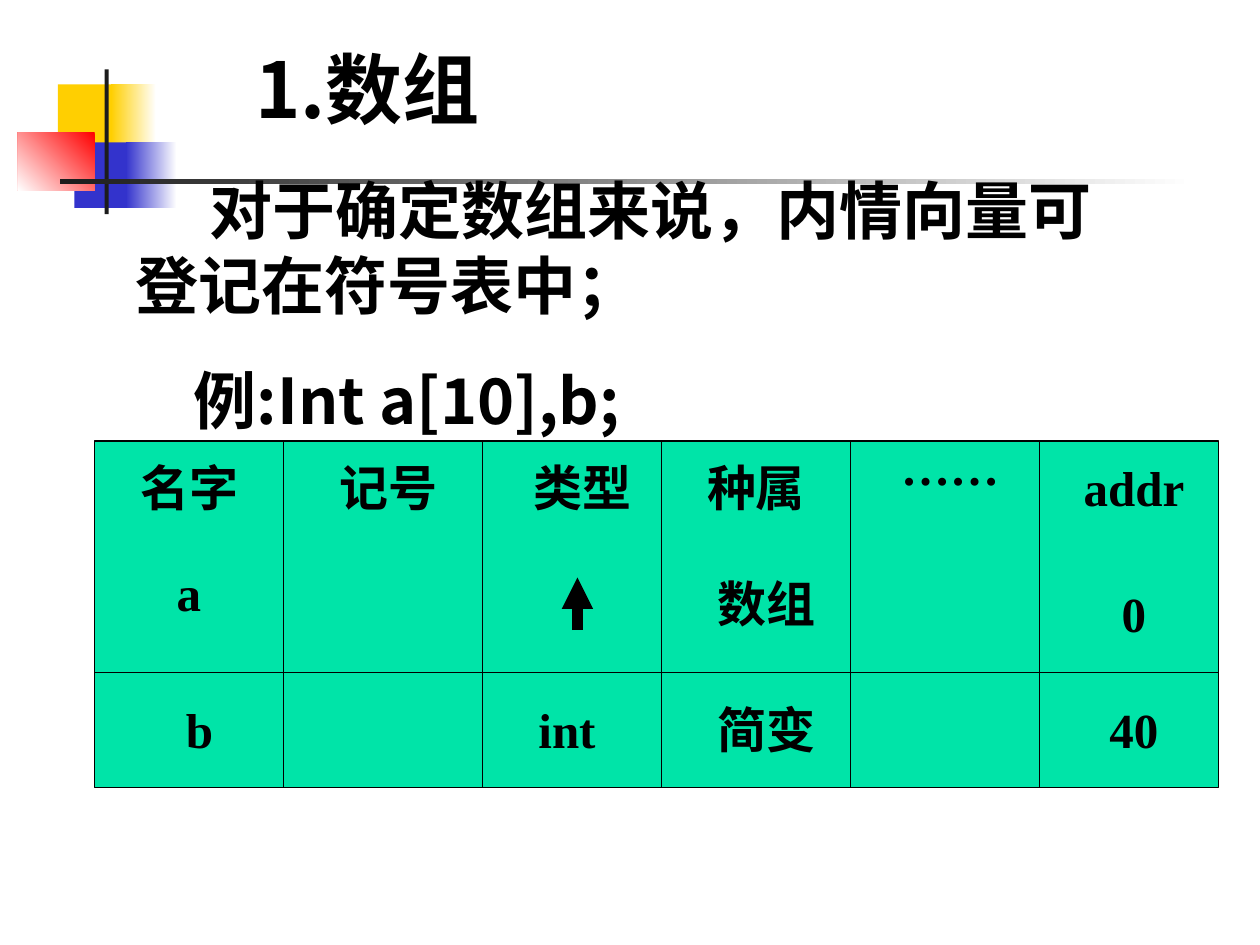
from typing import NamedTuple, Optional

from lxml.etree import SubElement
from pptx import Presentation
from pptx.dml.color import RGBColor
from pptx.enum.shapes import MSO_CONNECTOR as Connector, MSO_SHAPE as Shape
from pptx.enum.text import MSO_AUTO_SIZE as AutoSize, PP_ALIGN as Align
from pptx.oxml.ns import qn
from pptx.util import Cm, Pt

BLACK = RGBColor(0x00, 0x00, 0x00)
WHITE = RGBColor(0xFF, 0xFF, 0xFF)
YELLOW = RGBColor(0xFF, 0xCF, 0x01)
BLUE = RGBColor(0x33, 0x33, 0xCC)
RED = RGBColor(0xFF, 0x00, 0x00)
CHARCOAL = RGBColor(0x1C, 0x1C, 0x1C)
GREEN = RGBColor(0x00, 0xE4, 0xA8)
SANS = "Noto Sans CJK SC"
SERIF = "Times New Roman"


class Block(NamedTuple):
    left: float
    top: float
    width: float
    height: float
    color: RGBColor
    fade_to: Optional[RGBColor] = None
    angle: float = 180


class Label(NamedTuple):
    text: str
    left: float
    top: float
    width: float = 2.96
    height: float = 1.45
    size: float = 28
    font: str = SERIF
    align: Align = Align.CENTER
    indents: tuple[float, ...] = (0,)
    space_before: float = 0


ORNAMENT = [
    Block(1.17, 1.7, 1.22, 1.32, YELLOW),
    Block(2.24, 1.7, 0.91, 1.32, WHITE, YELLOW),
    Block(1.5, 2.87, 1.17, 1.32, BLUE),
    Block(2.54, 2.87, 1.02, 1.32, WHITE, BLUE),
    Block(0.36, 2.67, 1.55, 1.17, RED, WHITE, 225),
    Block(2.11, 1.4, 0.08, 2.92, CHARCOAL),
    Block(1.22, 3.61, 22.86, 0.1, WHITE, CHARCOAL),
]

TITLE = Label("1.数组", 4.9, 0.71, 7.39, 2.13, 44, SANS, Align.LEFT)
BODY = Label("对于确定数组来说，内情向量可登记在符号表中；\n例:Int a[10],b;",
             2.49, 3.33, 20.32, 5.64, 36, SANS, Align.LEFT, (1.48, 1.17), 22.5)

LEFT, RIGHT, TOP, BOTTOM = 1.91, 24.56, 8.89, 15.88
ROW_DIVIDER = 13.55
COLUMN_DIVIDERS = [5.72, 9.73, 13.34, 17.15, 20.96]
HEADER_TOP, B_TOP = 9.1, 13.97
ENTRIES = [
    Label("名字", 2.12, HEADER_TOP, 3.39),
    Label("记号", 5.93, HEADER_TOP, 3.81),
    Label("类型", 9.74, HEADER_TOP, 4.02),
    Label("种属", 13.76, HEADER_TOP),
    Label("……", 17.78, 8.68, 2.75),
    Label("addr", 21.38, HEADER_TOP),
    Label("a", 2.33, 11.22),
    Label("数组", 13.97, 11.43),
    Label("0", 21.38, 11.64),
    Label("b", 2.54, B_TOP),
    Label("int", 9.95, B_TOP),
    Label("简变", 13.97, B_TOP),
    Label("40", 21.38, B_TOP),
]


def add_block(slide, block: Block):
    """Draw a plain or fading rectangle without an outline."""
    rect = slide.shapes.add_shape(Shape.RECTANGLE, Cm(block.left), Cm(block.top),
                                  Cm(block.width), Cm(block.height))
    rect.shadow.inherit = False
    rect.line.fill.background()
    if block.fade_to is None:
        rect.fill.solid()
        rect.fill.fore_color.rgb = block.color
    else:
        rect.fill.gradient()
        rect.fill.gradient_angle = block.angle
        for stop, color in zip(rect.fill.gradient_stops, (block.color, block.fade_to)):
            stop.color.rgb = color
    return rect


def add_label(slide, label: Label) -> None:
    """Write a bold text box, one paragraph per line of text."""
    box = slide.shapes.add_textbox(Cm(label.left), Cm(label.top),
                                   Cm(label.width), Cm(label.height))
    frame = box.text_frame
    frame.text = label.text
    frame.word_wrap = True
    frame.auto_size = AutoSize.SHAPE_TO_FIT_TEXT
    for index, (paragraph, indent) in enumerate(zip(frame.paragraphs, label.indents)):
        paragraph.alignment = label.align
        if index:
            paragraph.space_before = Pt(label.space_before)
        if indent:
            paragraph._p.get_or_add_pPr().set("indent", str(Cm(indent)))
        for run in paragraph.runs:
            run.font.size = Pt(label.size)
            run.font.bold = True
            run.font.color.rgb = BLACK
            run.font.name = label.font
            SubElement(run._r.get_or_add_rPr(), qn("a:ea"), typeface=SANS)


def add_line(slide, x1: float, y1: float, x2: float, y2: float,
             weight: float = 0.75, arrow: bool = False) -> None:
    """Draw a straight black line, with an arrowhead at its end if asked."""
    line = slide.shapes.add_connector(Connector.STRAIGHT, Cm(x1), Cm(y1), Cm(x2), Cm(y2))
    line.line.color.rgb = BLACK
    line.line.width = Pt(weight)
    if arrow:
        SubElement(line.line._get_or_add_ln(), qn("a:tailEnd"), type="triangle")
    SubElement(line._element.spPr, qn("a:effectLst"))


def main() -> None:
    """Build the slide on arrays in the symbol table."""
    deck = Presentation()
    deck.slide_width, deck.slide_height = Cm(25.4), Cm(19.05)
    slide = deck.slides.add_slide(deck.slide_layouts[6])

    for block in ORNAMENT:
        add_block(slide, block)
    add_label(slide, BODY)

    symbol_table = add_block(slide, Block(LEFT, TOP, RIGHT - LEFT, BOTTOM - TOP, GREEN))
    symbol_table.line.color.rgb = BLACK
    symbol_table.line.width = Pt(0.75)
    add_line(slide, LEFT, ROW_DIVIDER, RIGHT, ROW_DIVIDER)
    for x in COLUMN_DIVIDERS:
        add_line(slide, x, TOP, x, BOTTOM)
    for entry in ENTRIES:
        add_label(slide, entry)
    add_line(slide, 11.64, 12.7, 11.64, 11.64, 6, arrow=True)
    add_label(slide, TITLE)

    deck.save("out.pptx")


if __name__ == "__main__":
    main()
